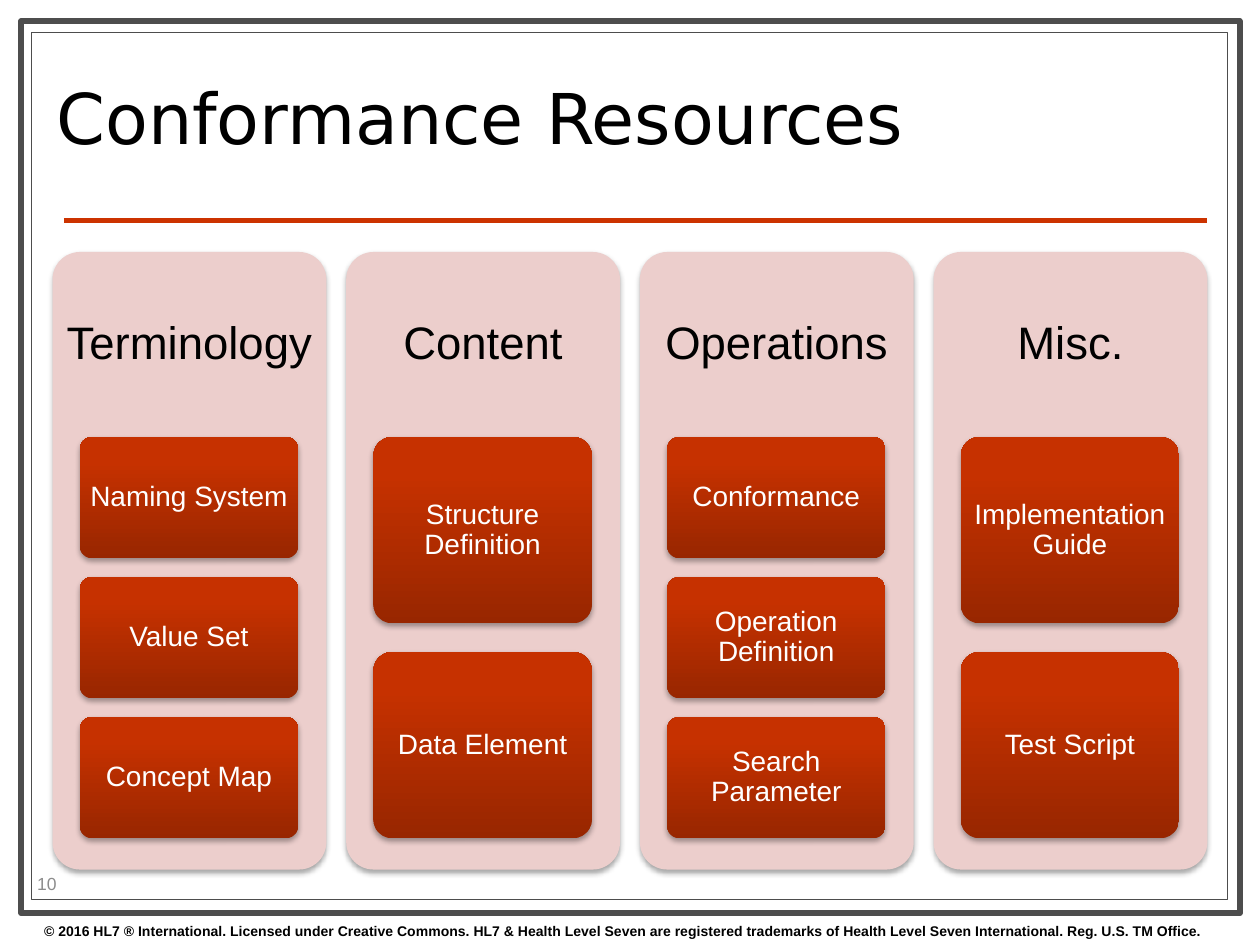
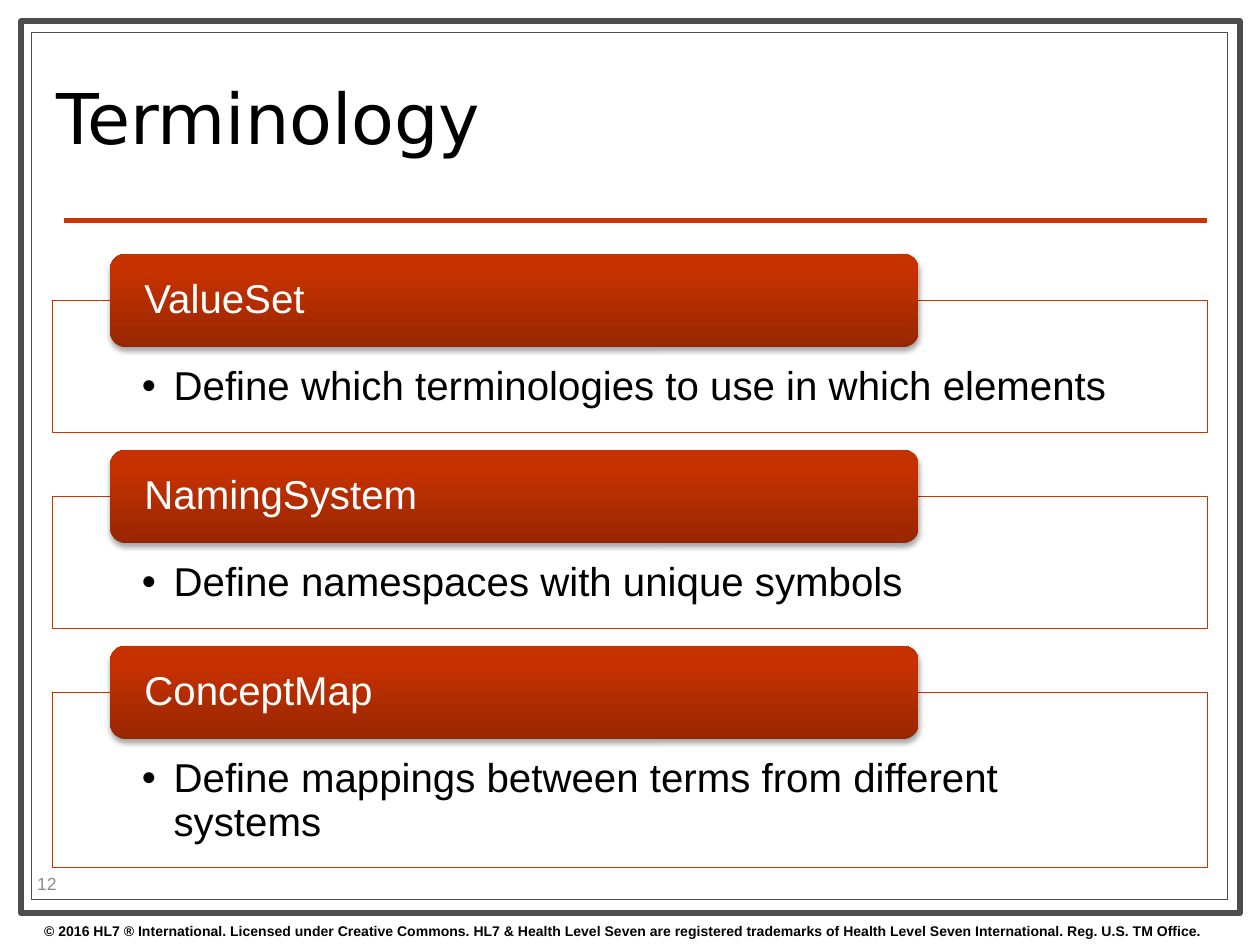
from copy import deepcopy
from dataclasses import dataclass

from lxml.etree import SubElement
from pptx import Presentation
from pptx.dml.color import RGBColor
from pptx.enum.shapes import MSO_CONNECTOR as CONN, MSO_SHAPE as SHAPE
from pptx.enum.text import MSO_ANCHOR as ANCHOR, MSO_AUTO_SIZE as AUTO, PP_ALIGN as ALIGN
from pptx.oxml.ns import qn
from pptx.util import Cm, Pt


@dataclass(frozen=True)
class Theme:
    frame: str = "4D4D4D"
    accent: str = "CC3300"
    panel: str = "ECCECC"
    white: str = "FFFFFF"
    black: str = "000000"
    grey: str = "8C8C8C"
    gradient: tuple = ((0, "982600"), (0.8, "C63100"), (1, "C73200"))
    font: str = "Arial"
    title_font: str = "DejaVu Sans"
    title: int = 40
    heading: int = 26
    body: int = 23
    card: int = 16
    number: int = 10
    footer: int = 8


T = Theme()


def add_box(s, kind, at, fill=None, line=None, width=0.75, radius=None):
    sp = s.shapes.add_shape(kind, *map(Cm, at))
    if radius:
        sp.adjustments[0] = radius
    if fill:
        sp.fill.solid()
        sp.fill.fore_color.rgb = RGBColor.from_string(fill)
    else:
        sp.fill.gradient()
        sp.fill.gradient_angle = 90
        stops = sp.element.spPr.find(".//" + qn("a:gsLst"))
        stops.append(deepcopy(stops[-1]))
        for stop, (position, color) in zip(sp.fill.gradient_stops, T.gradient):
            stop.position = position
            stop.color.rgb = RGBColor.from_string(color)
    sp.shadow.inherit = False
    if line:
        sp.line.color.rgb = RGBColor.from_string(line)
        sp.line.width = Pt(width)
    else:
        sp.line.fill.background()
        effects = sp.element.spPr.find(qn("a:effectLst"))
        shadow = SubElement(effects, qn("a:outerShdw"), blurRad="40000", dist="23000",
                            dir="5400000", rotWithShape="0")
        color = SubElement(shadow, qn("a:srgbClr"), val=T.black)
        SubElement(color, qn("a:alpha"), val="35000")
    return sp


def write(sp, text, size, color, insets=(0.25, 0.13, 0.25, 0.13), align=ALIGN.LEFT,
          anchor=ANCHOR.MIDDLE, spacing=0.9, font=T.font, bold=False, bullet=False):
    tf = sp.text_frame
    tf.word_wrap = True
    tf.auto_size = AUTO.NONE
    tf.vertical_anchor = anchor
    tf.margin_left, tf.margin_top, tf.margin_right, tf.margin_bottom = map(Cm, insets)
    p = tf.paragraphs[0]
    p.alignment = align
    p.line_spacing = spacing
    if bullet:
        pPr = p._p.get_or_add_pPr()
        pPr.set("marL", str(Cm(0.64)))
        pPr.set("indent", str(-Cm(0.64)))
        SubElement(pPr, qn("a:buFont"), typeface=T.font)
        SubElement(pPr, qn("a:buChar"), char="•")
    r = p.add_run()
    r.text = text
    r.font.name = font
    r.font.size = Pt(size)
    r.font.bold = bold
    r.font.color.rgb = RGBColor.from_string(color)


prs = Presentation()
prs.slide_width, prs.slide_height = Cm(25.4), Cm(19.05)
layout = prs.slide_layouts[5]
for ph in list(layout.placeholders)[1:]:
    ph.element.getparent().remove(ph.element)

slides = []
for title, number in (("Conformance Resources", "10"), ("Terminology", "12")):
    s = prs.slides.add_slide(layout)
    sp = s.shapes.title
    sp.left, sp.top, sp.width, sp.height = map(Cm, (0.89, 0.91, 18.21, 3.2))
    write(sp, title, T.title, T.black, spacing=0.8, font=T.title_font)
    slides.append((s, number))

resources, terminology = (s for s, number in slides)

outer = add_box(resources, SHAPE.RECTANGLE, (0.43, 0.43, 24.56, 17.98), T.white, T.frame, 3.5)
inner = add_box(resources, SHAPE.RECTANGLE, (0.64, 0.66, 24.1, 17.48), T.white, T.frame)
rule = resources.shapes.add_connector(CONN.STRAIGHT, Cm(1.29), Cm(4.44), Cm(24.33), Cm(4.44))
rule.line.color.rgb = RGBColor.from_string(T.accent)
rule.line.width = Pt(3)
SubElement(rule.element.spPr, qn("a:effectLst"))
footer = resources.shapes.add_textbox(Cm(0.64), Cm(18.47), Cm(24.76), Cm(0.58))
write(footer, "© 2016 HL7 ® International. Licensed under Creative Commons. HL7 & Health Level Seven "
      "are registered trademarks of Health Level Seven International. Reg. U.S. TM Office.",
      T.footer, T.black, anchor=ANCHOR.TOP, spacing=1.0, bold=True)
for i, sp in enumerate((outer, inner, rule, footer)):
    layout.shapes.element.insert(2 + i, sp.element)

columns = (
    ("Terminology", ("Naming System", "Value Set", "Concept Map")),
    ("Content", ("Structure Definition", "Data Element")),
    ("Operations", ("Conformance", "Operation Definition", "Search Parameter")),
    ("Misc.", ("Implementation Guide", "Test Script")),
)
cards_top, cards_height, gap_ratio = 8.81, 8.09, 0.154
for i, (heading, cards) in enumerate(columns):
    x = 1.06 + 5.92 * i
    sp = add_box(resources, SHAPE.ROUNDED_RECTANGLE, (x, 5.08, 5.52, 12.45), T.panel, radius=0.1)
    write(sp, heading, T.heading, T.black, (0.1, 0.12, 0.1, 8.84), ALIGN.CENTER)
    h = cards_height / (len(cards) + gap_ratio * (len(cards) - 1))
    for j, card in enumerate(cards):
        y = cards_top + j * h * (1 + gap_ratio)
        sp = add_box(resources, SHAPE.ROUNDED_RECTANGLE, (x + 0.55, y, 4.4, h), radius=0.1)
        write(sp, card, T.card, T.white, (0.1, 0.1, 0.1, 0.1), ALIGN.CENTER)

definitions = (
    ("ValueSet", "Define which terminologies to use in which elements", 2.66),
    ("NamingSystem", "Define namespaces with unique symbols", 2.66),
    ("ConceptMap", "Define mappings between terms from different systems", 3.53),
)
y, tab_height = 6.06, 1.88
for name, purpose, h in definitions:
    sp = add_box(terminology, SHAPE.RECTANGLE, (1.06, y, 23.28, h), T.white, T.accent)
    write(sp, purpose, T.body, T.black, (1.8, 1.32, 1.8, 0.46), anchor=ANCHOR.TOP, bullet=True)
    sp = add_box(terminology, SHAPE.ROUNDED_RECTANGLE, (2.22, y - tab_height / 2, 16.3, tab_height))
    write(sp, name, T.body, T.white, (0.6, 0, 0.6, 0))
    y += h + 1.29

for s, number in slides:
    sp = s.shapes.add_textbox(Cm(0.5), Cm(17.5), Cm(2), Cm(0.61))
    write(sp, number, T.number, T.grey, spacing=1.0)

prs.save("out.pptx")
